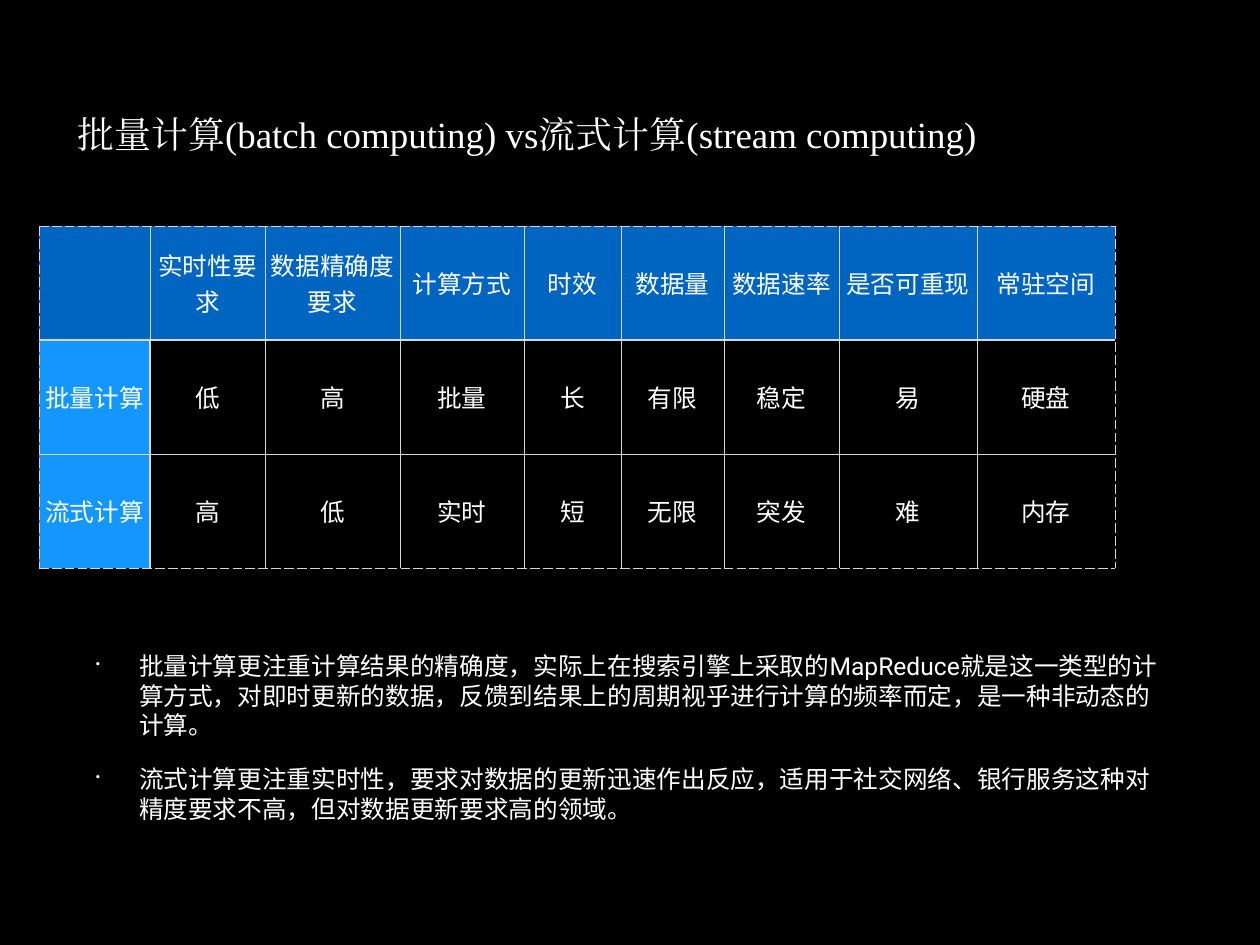
from dataclasses import dataclass

from lxml import etree
from pptx import Presentation
from pptx.dml.color import RGBColor
from pptx.enum.text import MSO_ANCHOR, MSO_AUTO_SIZE, PP_ALIGN
from pptx.oxml.ns import qn
from pptx.util import Pt

CENTER, LEFT = PP_ALIGN.CENTER, PP_ALIGN.LEFT
MIDDLE = MSO_ANCHOR.MIDDLE
GROW = MSO_AUTO_SIZE.SHAPE_TO_FIT_TEXT
EMU_PER_PX = 10320


@dataclass(frozen=True)
class Theme:
    """Colours, fonts and type sizes of the slide."""
    background: str = "000000"
    text: str = "FFFFFF"
    header: str = "0065C1"
    row_label: str = "1497FC"
    rule: str = "D6D7D6"
    frame: str = "D6D6D6"
    title_font: str = "Times New Roman"
    body_font: str = "Roboto"
    title_size: int = 30
    body_size: int = 20
    thin: float = 0.45
    thick: float = 0.96


THEME = Theme()
TITLE = "批量计算(batch computing) vs流式计算(stream computing)"
COLUMN_WIDTHS = [111, 115, 135, 124, 97, 103, 115, 138, 138]
ROW_HEIGHT = 114
COMPARISON = [
    ["", "实时性要求", "数据精确度要求", "计算方式", "时效", "数据量", "数据速率", "是否可重现", "常驻空间"],
    ["批量计算", "低", "高", "批量", "长", "有限", "稳定", "易", "硬盘"],
    ["流式计算", "高", "低", "实时", "短", "无限", "突发", "难", "内存"],
]
NOTES = [
    "批量计算更注重计算结果的精确度，实际上在搜索引擎上采取的MapReduce就是这一类型的计算方式，"
    "对即时更新的数据，反馈到结果上的周期视乎进行计算的频率而定，是一种非动态的计算。",
    "流式计算更注重实时性，要求对数据的更新迅速作出反应，适用于社交网络、银行服务这种对精度要求不高，"
    "但对数据更新要求高的领域。",
]


def px(n):
    """Turn whole pixels into EMU."""
    return n * EMU_PER_PX


def write(p, text, *, font=THEME.body_font, size=THEME.body_size, align=LEFT,
          east_asian=True, before=0, spacing=None):
    """Write formatted text into a paragraph."""
    p.alignment = align
    p.space_before = Pt(before)
    if spacing:
        p.line_spacing = Pt(spacing)
    r = p.add_run()
    r.text = text
    r.font.name = font
    r.font.size = Pt(size)
    r.font.color.rgb = RGBColor.from_string(THEME.text)
    if east_asian:
        etree.SubElement(r.font._element, qn("a:ea"), typeface=font)


def add_bullet(p, hang):
    """Give a paragraph a small hanging bullet."""
    pPr = p._p.get_or_add_pPr()
    pPr.set("marL", str(px(hang)))
    pPr.set("indent", str(-px(hang)))
    color = etree.SubElement(pPr, qn("a:buClr"))
    etree.SubElement(color, qn("a:srgbClr"), val=THEME.text)
    etree.SubElement(pPr, qn("a:buSzPct"), val="50000")
    etree.SubElement(pPr, qn("a:buChar"), char="•")


def add_text_frame(slide, box, wrap):
    """Add a vertically centred text box and return its frame."""
    tf = slide.shapes.add_textbox(*map(px, box)).text_frame
    tf.word_wrap = wrap
    tf.auto_size = GROW
    tf.vertical_anchor = MIDDLE
    tf.margin_left = tf.margin_right = tf.margin_top = tf.margin_bottom = px(5)
    return tf


def add_title(slide, box):
    """Add the centred title line."""
    tf = add_text_frame(slide, box, wrap=False)
    write(tf.paragraphs[0], TITLE, font=THEME.title_font, size=THEME.title_size,
          align=CENTER, before=12, spacing=50)


def add_border(cell, side, width, dashed):
    """Draw one edge of a cell."""
    ln = etree.SubElement(cell._tc.get_or_add_tcPr(), qn(f"a:ln{side}"), w=str(int(Pt(width))))
    fill = etree.SubElement(ln, qn("a:solidFill"))
    etree.SubElement(fill, qn("a:srgbClr"), val=THEME.frame if dashed else THEME.rule)
    etree.SubElement(ln, qn("a:prstDash"), val="dash" if dashed else "solid")


def add_borders(cell, row, col):
    """Dash the outer frame and thicken the rules beside the headings."""
    last_row, last_col = len(COMPARISON) - 1, len(COLUMN_WIDTHS) - 1
    edges = {
        "L": (col == 0, row > 0 and col == 1),
        "R": (col == last_col, row > 0 and col == 0),
        "T": (row == 0, row == 1),
        "B": (row == last_row, row == 0),
    }
    for side, (dashed, heavy) in edges.items():
        add_border(cell, side, THEME.thick if heavy else THEME.thin, dashed)


def format_cell(cell, row, col):
    """Set the text, borders and fill of one cell."""
    cell.vertical_anchor = MIDDLE
    cell.margin_left = cell.margin_right = px(5)
    cell.margin_top = cell.margin_bottom = px(4)
    text = COMPARISON[row][col]
    if text:
        write(cell.text_frame.paragraphs[0], text, align=CENTER, east_asian=False)
    add_borders(cell, row, col)
    if row and col:
        cell.fill.background()
    else:
        cell.fill.solid()
        cell.fill.fore_color.rgb = RGBColor.from_string(THEME.row_label if row else THEME.header)


def add_comparison(slide, left, top):
    """Add the table comparing the two ways of computing."""
    rows, cols = len(COMPARISON), len(COLUMN_WIDTHS)
    box = left, top, sum(COLUMN_WIDTHS), rows * ROW_HEIGHT
    table = slide.shapes.add_table(rows, cols, *map(px, box)).table
    table.first_row = table.horz_banding = False
    for column, width in zip(table.columns, COLUMN_WIDTHS):
        column.width = px(width)
    for row in range(rows):
        table.rows[row].height = px(ROW_HEIGHT)
        for col in range(cols):
            format_cell(table.cell(row, col), row, col)


def add_notes(slide, box):
    """Add the bulleted remarks below the table."""
    tf = add_text_frame(slide, box, wrap=True)
    for i, note in enumerate(NOTES):
        p = tf.add_paragraph() if i else tf.paragraphs[0]
        write(p, note, before=20)
        add_bullet(p, hang=43)


def main():
    """Build the slide and save it."""
    prs = Presentation()
    prs.slide_width, prs.slide_height = px(1260), px(945)
    slide = prs.slides.add_slide(prs.slide_layouts[6])
    slide.background.fill.solid()
    slide.background.fill.fore_color.rgb = RGBColor.from_string(THEME.background)
    add_comparison(slide, 39, 226)
    add_title(slide, (15, 89, 1024, 72))
    add_notes(slide, (91, 646, 1078, 182))
    prs.save("out.pptx")


if __name__ == "__main__":
    main()
